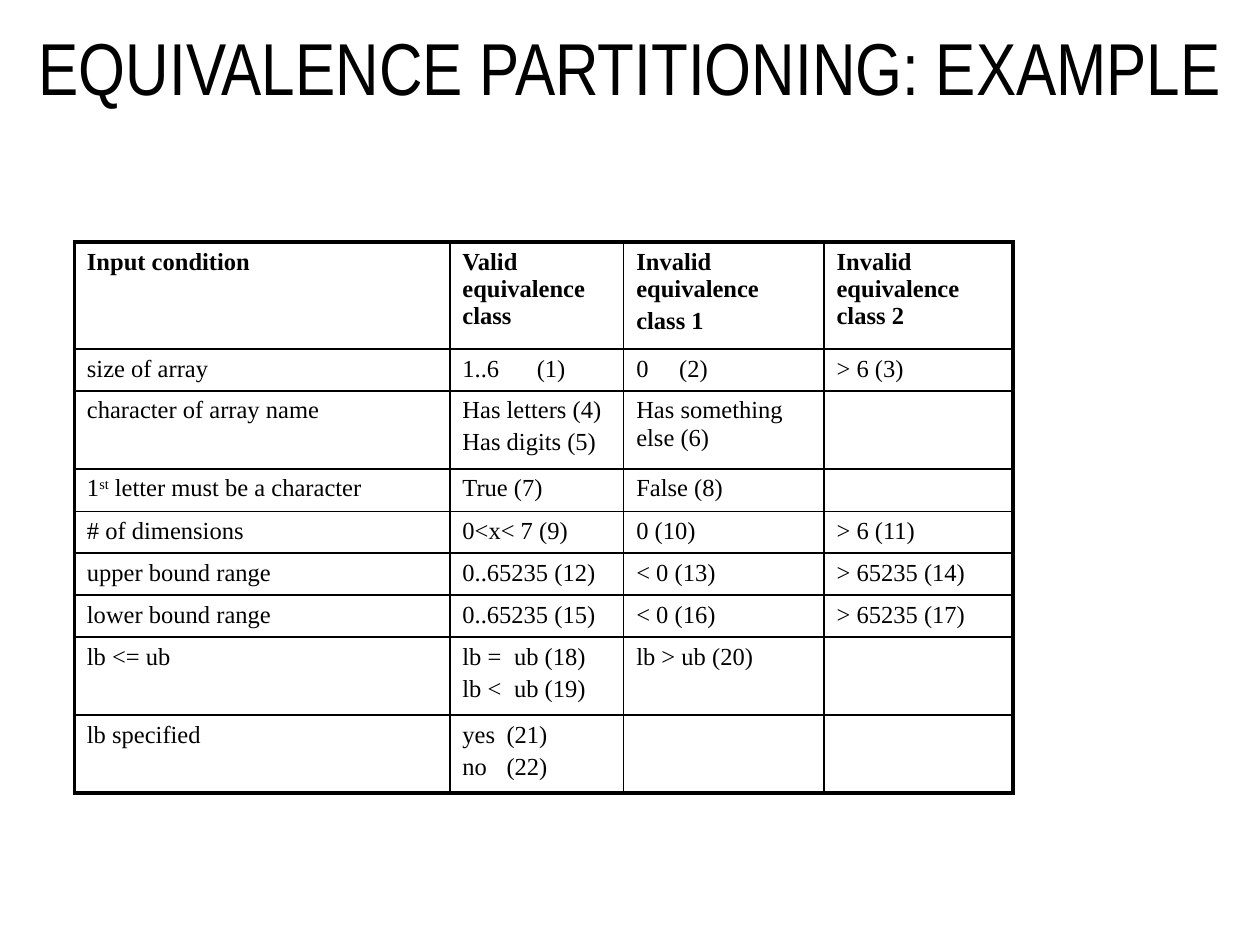
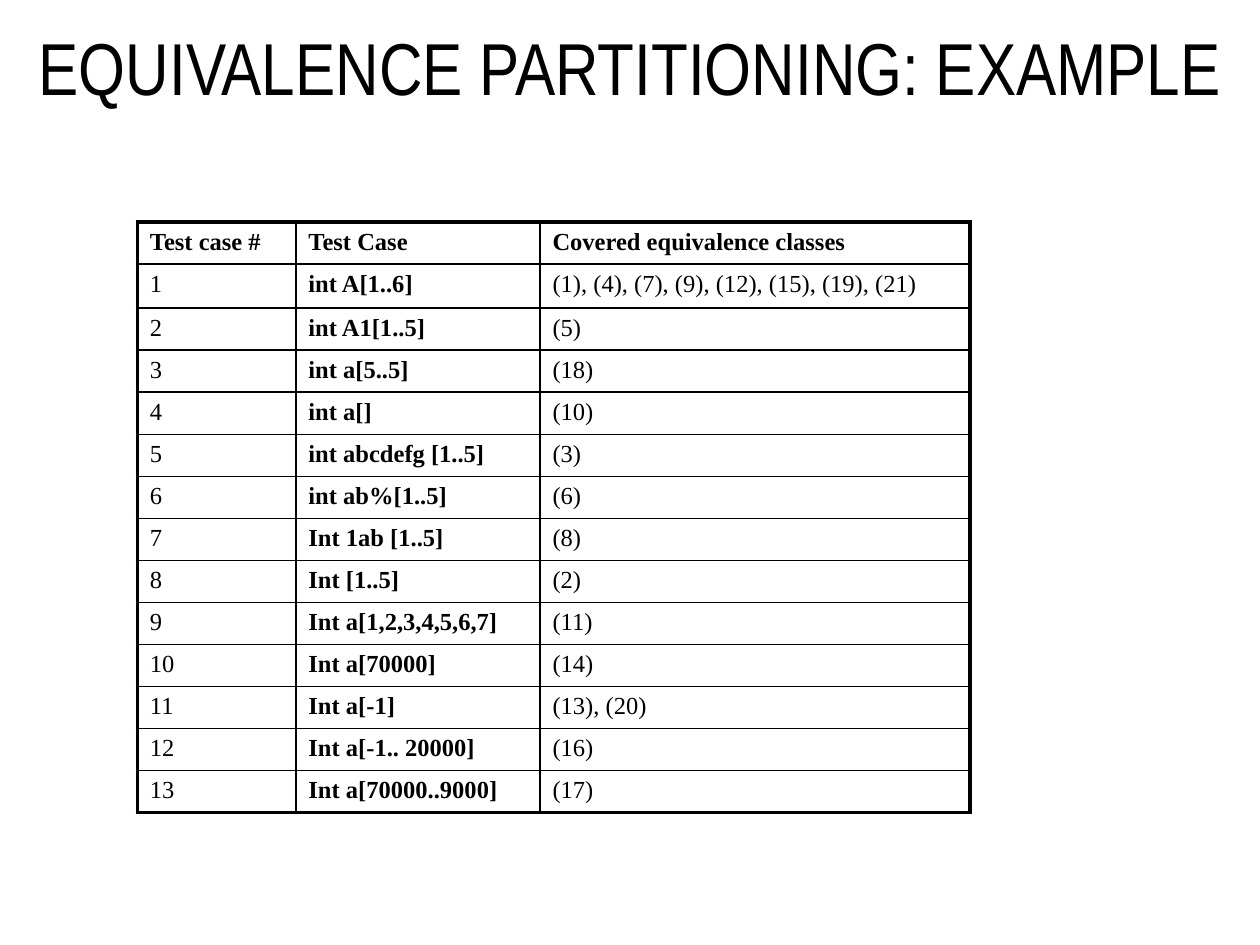
import pptx
import pptx.dml.color
import pptx.enum.text
import pptx.oxml.ns
import pptx.util
from lxml import etree

COLORS = {"ink": "000000"}
TITLE = "EQUIVALENCE PARTITIONING: EXAMPLE"
TITLE_BOX = (0, 0, 1, 0.152)  # shares of the slide: left, top, width, height
TITLE_FONT = {"name": "Arial Narrow", "size": pptx.util.Pt(42), "bold": False}
CELL_FONT = {"name": "Times New Roman", "size": pptx.util.Pt(14)}
OUTER_RULE, INNER_RULE = pptx.util.Pt(2.25), pptx.util.Pt(1)
PARAGRAPH_GAP = pptx.util.Pt(2.8)

# Each line break starts a paragraph; ^ marks bound superscript text
CONDITIONS = {
    "box": (0.059, 0.256, 0.745, 0.583),
    "columns": (2.98, 1.38, 1.59, 1.5),
    "rows": (2.55, 1, 1.86, 1, 1, 1, 1, 1.86, 1.86),
    "bold_columns": (),
    "tabs": {(1, 1): 0.59, (1, 2): 0.34, (7, 1): 0.41, (8, 1): 0.35},
    "cells": [
        ("Input condition", "Valid equivalence class",
         "Invalid equivalence\nclass 1", "Invalid equivalence class 2"),
        ("size of array", "1..6\t(1)", "0\t(2)", "> 6 (3)"),
        ("character of array name", "Has letters (4)\nHas digits (5)",
         "Has something else (6)", ""),
        ("1^st^ letter must be a character", "True (7)", "False (8)", ""),
        ("# of dimensions", "0<x< 7 (9)", "0 (10)", "> 6 (11)"),
        ("upper bound range", "0..65235 (12)", "< 0 (13)", "> 65235 (14)"),
        ("lower bound range", "0..65235 (15)", "< 0 (16)", "> 65235 (17)"),
        ("lb <= ub", "lb =\tub (18)\nlb <\tub (19)", "lb > ub (20)", ""),
        ("lb specified", "yes\t(21)\nno\t(22)", "", ""),
    ],
}

TESTS = [
    ("int A[1..6]", "(1), (4), (7), (9), (12), (15), (19), (21)"),
    ("int A1[1..5]", "(5)"),
    ("int a[5..5]", "(18)"),
    ("int a[]", "(10)"),
    ("int abcdefg [1..5]", "(3)"),
    ("int ab%[1..5]", "(6)"),
    ("Int 1ab [1..5]", "(8)"),
    ("Int [1..5]", "(2)"),
    ("Int a[1,2,3,4,5,6,7]", "(11)"),
    ("Int a[70000]", "(14)"),
    ("Int a[-1]", "(13), (20)"),
    ("Int a[-1.. 20000]", "(16)"),
    ("Int a[70000..9000]", "(17)"),
]
TEST_CASES = {
    "box": (0.109, 0.235, 0.661, 0.625),
    "columns": (1.26, 1.94, 3.42),
    "rows": (1, 1.05) + (1,) * 12,
    "bold_columns": (1,),
    "tabs": {},
    "cells": [("Test case #", "Test Case", "Covered equivalence classes")]
    + [(str(number), *test) for number, test in enumerate(TESTS, 1)],
}


def on_slide(deck, box):
    """Turn shares of the slide into lengths."""
    sides = (deck.slide_width, deck.slide_height) * 2
    return [int(share * side) for share, side in zip(box, sides)]


def style(font, values):
    for name, value in values.items():
        setattr(font, name, value)
    font.color.rgb = pptx.dml.color.RGBColor.from_string(COLORS["ink"])


def add_child(parent, tag, **values):
    return etree.SubElement(parent, pptx.oxml.ns.qn(tag), **values)


def place_title(slide, box):
    title = slide.shapes.title
    title.left, title.top, title.width, title.height = box
    frame = title.text_frame
    frame.text = TITLE
    frame.word_wrap = True
    frame.vertical_anchor = pptx.enum.text.MSO_ANCHOR.MIDDLE
    heading = frame.paragraphs[0]
    heading.alignment = pptx.enum.text.PP_ALIGN.CENTER
    heading.line_spacing = 0.9
    style(heading.runs[0].font, TITLE_FONT)


def write_cell(cell, text, bold, tab):
    frame = cell.text_frame
    for index, line in enumerate(text.split("\n")):
        paragraph = frame.add_paragraph() if index else frame.paragraphs[0]
        if index:
            paragraph.space_before = PARAGRAPH_GAP
        if tab:
            stops = add_child(paragraph._p.get_or_add_pPr(), "a:tabLst")
            add_child(stops, "a:tab", pos=str(pptx.util.Inches(tab)), algn="l")
        if not line:  # keeps an empty cell as low as its row
            add_child(paragraph._p, "a:endParaRPr", sz="1400")
            continue
        for part, words in enumerate(line.split("^")):
            run = paragraph.add_run()
            run.text = words
            style(run.font, {**CELL_FONT, "bold": bold})
            if part % 2:
                run._r.get_or_add_rPr().set("baseline", "30000")


def rule_cell(cell, outer_sides):
    """Draw the four borders, heavier on the table's outer edge."""
    for side, is_outer in outer_sides.items():
        width = OUTER_RULE if is_outer else INNER_RULE
        border = add_child(cell._tc.get_or_add_tcPr(), f"a:ln{side}", w=str(width))
        add_child(add_child(border, "a:solidFill"), "a:srgbClr", val=COLORS["ink"])


def place_table(slide, box, content):
    cells = content["cells"]
    last_row, last_column = len(cells) - 1, len(cells[0]) - 1
    table = slide.shapes.add_table(last_row + 1, last_column + 1, *box).table
    table.first_row = table.horz_banding = False

    # Columns and rows share out the box
    for column, share in zip(table.columns, content["columns"]):
        column.width = int(box[2] * share / sum(content["columns"]))
    for row, share in zip(table.rows, content["rows"]):
        row.height = int(box[3] * share / sum(content["rows"]))

    for r, texts in enumerate(cells):
        for c, text in enumerate(texts):
            cell = table.cell(r, c)
            bold = r == 0 or c in content["bold_columns"]
            write_cell(cell, text, bold, content["tabs"].get((r, c)))
            rule_cell(cell, {"L": c == 0, "R": c == last_column,
                             "T": r == 0, "B": r == last_row})
            cell.fill.background()


def main():
    deck = pptx.Presentation()
    deck.slide_width, deck.slide_height = pptx.util.Inches(10), pptx.util.Inches(7.5)
    for content in (CONDITIONS, TEST_CASES):
        slide = deck.slides.add_slide(deck.slide_layouts.get_by_name("Title Only"))
        place_title(slide, on_slide(deck, TITLE_BOX))
        place_table(slide, on_slide(deck, content["box"]), content)
    deck.save("out.pptx")


if __name__ == "__main__":
    main()
